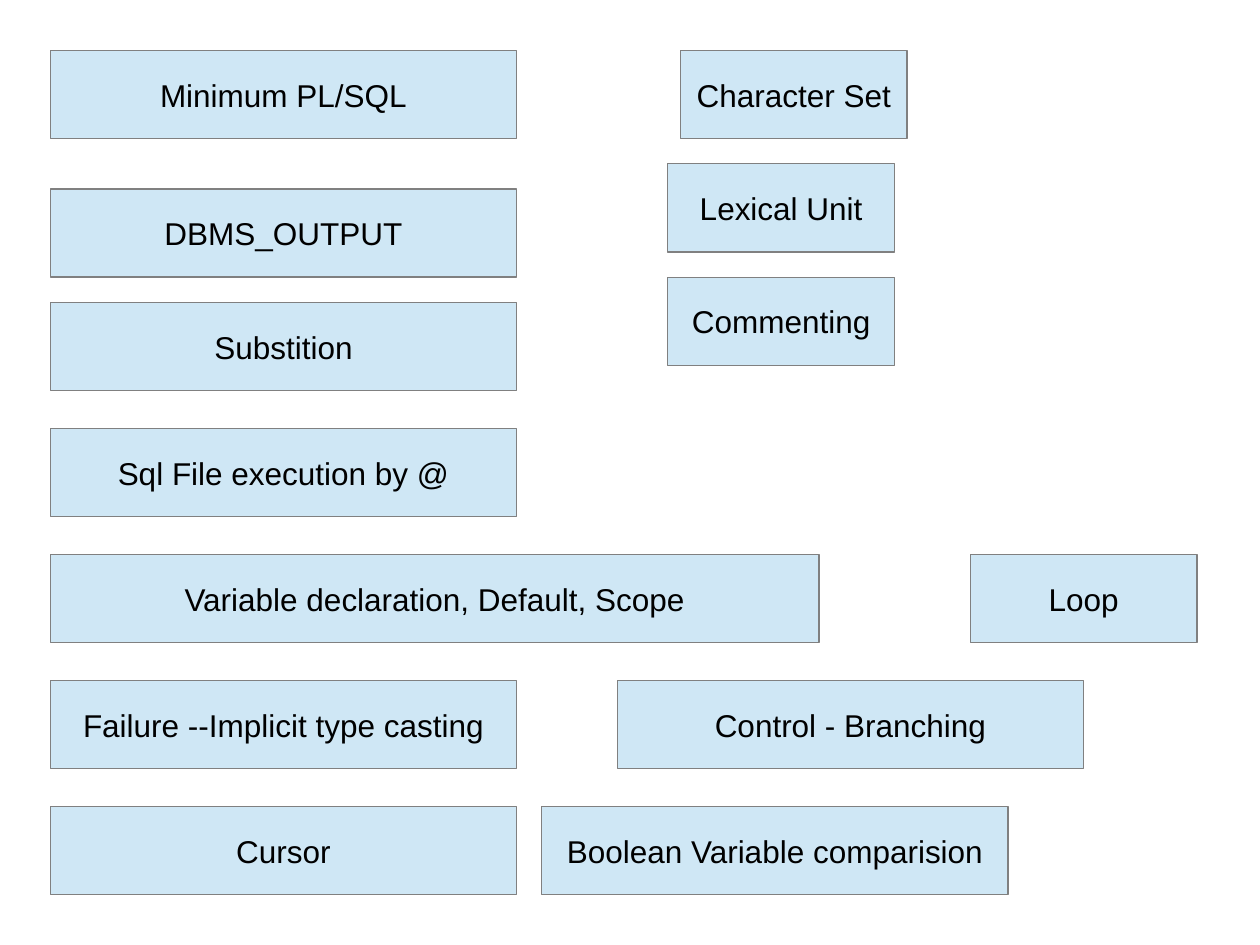
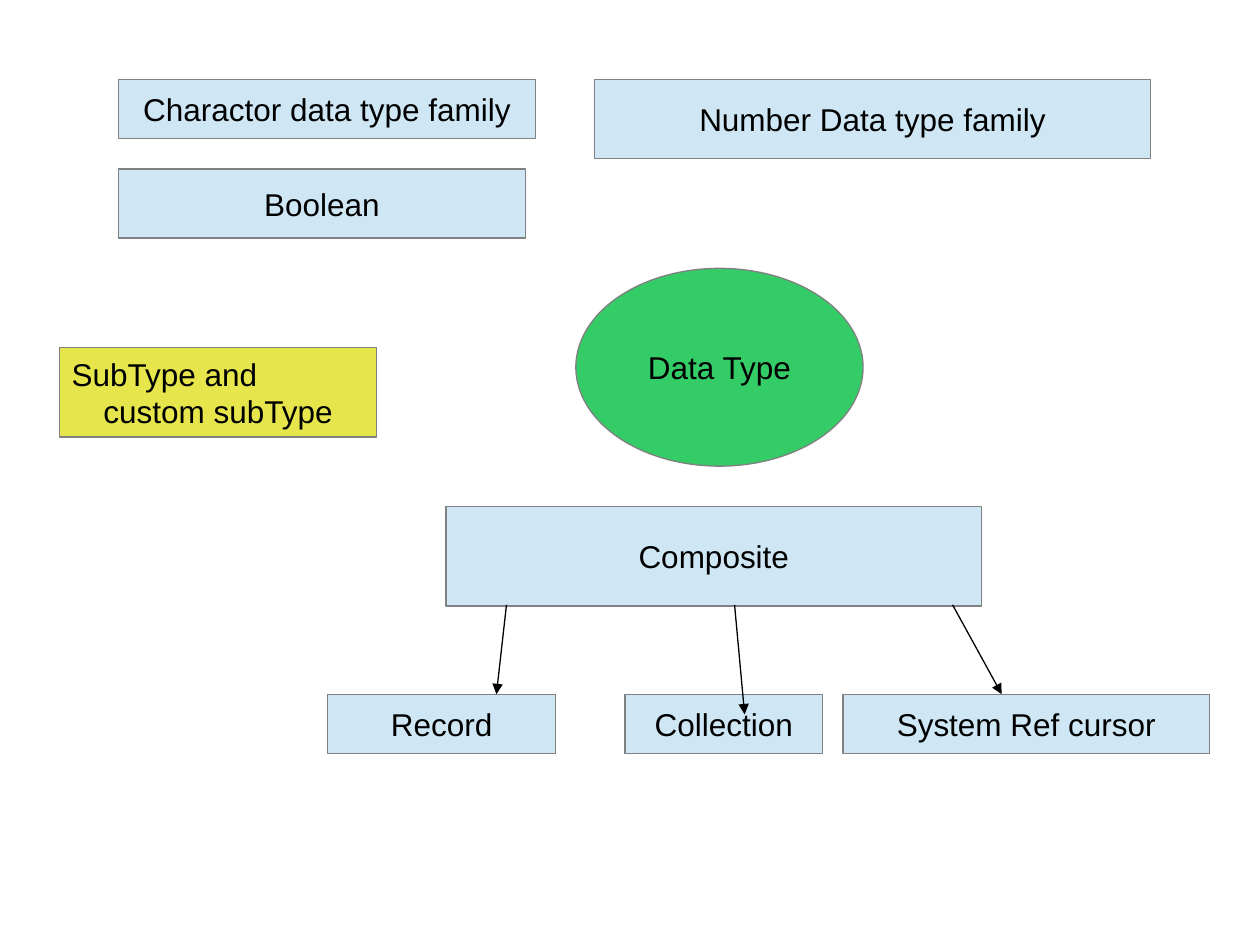
from dataclasses import dataclass

from lxml.etree import SubElement
from pptx import Presentation
from pptx.dml.color import RGBColor
from pptx.enum.shapes import MSO_CONNECTOR as Connector, MSO_SHAPE as Preset
from pptx.enum.text import MSO_ANCHOR as Anchor, PP_ALIGN as Align
from pptx.oxml.ns import qn
from pptx.util import Emu, Pt

EMU_PER_PX = 9144


@dataclass(frozen=True)
class Theme:
    font: str = "Arial"
    text_size: int = 18
    line_width: float = 0.75
    text: str = "000000"
    outline: str = "808080"
    topic: str = "CFE7F5"
    hub: str = "33CC66"
    note: str = "E6E64C"


THEME = Theme()


def px(length):
    return Emu(length * EMU_PER_PX)


def color(value):
    return RGBColor.from_string(value)


def add_box(slide, box, lines, fill=THEME.topic, preset=Preset.RECTANGLE):
    shape = slide.shapes.add_shape(preset, *map(px, box))
    shape.shadow.inherit = False
    shape.fill.solid()
    shape.fill.fore_color.rgb = color(fill)
    shape.line.color.rgb = color(THEME.outline)
    shape.line.width = Pt(THEME.line_width)
    frame = shape.text_frame
    frame.word_wrap = False
    frame.vertical_anchor = Anchor.MIDDLE
    for index, (text, alignment) in enumerate(lines):
        paragraph = frame.add_paragraph() if index else frame.paragraphs[0]
        paragraph.text = text
        paragraph.alignment = alignment
        paragraph.font.name = THEME.font
        paragraph.font.size = Pt(THEME.text_size)
        paragraph.font.color.rgb = color(THEME.text)
    return shape


def add_topic(slide, box, text, **style):
    return add_box(slide, box, [(text, Align.CENTER)], **style)


def add_arrow(slide, start, end):
    arrow = slide.shapes.add_connector(
        Connector.STRAIGHT, *map(px, (*start, *end)))
    arrow.line.color.rgb = color(THEME.text)
    arrow.line.width = Pt(THEME.line_width)
    SubElement(arrow.line._get_or_add_ln(), qn("a:tailEnd"), type="triangle")
    SubElement(arrow._element.spPr, qn("a:effectLst"))


def add_topics(slide, box, topics):
    left, top, width, height = box
    for x, y, text, *own_width in topics:
        topic_width = own_width[0] if own_width else width
        add_topic(slide, (left + x, top + y, topic_width, height), text)


def add_basics(slide, box):
    add_topics(slide, box, [
        (0, 0, "Minimum PL/SQL"),
        (0, 110, "DBMS_OUTPUT"),
        (0, 200, "Substition"),
        (0, 300, "Sql File execution by @"),
        (0, 400, "Variable declaration, Default, Scope", 610),
        (0, 500, "Failure --Implicit type casting"),
        (0, 600, "Cursor"),
    ])


def add_lexical_elements(slide, box):
    add_topics(slide, box, [
        (10, 0, "Character Set"),
        (0, 90, "Lexical Unit"),
        (0, 180, "Commenting"),
    ])


def add_control_flow(slide, box):
    add_topics(slide, box, [
        (340, 0, "Loop", 180),
        (60, 100, "Control - Branching"),
        (0, 200, "Boolean Variable comparision"),
    ])


def add_scalar_types(slide, left, top):
    for x, y, width, height, text in [
        (0, 0, 331, 47, "Charactor data type family"),
        (378, 0, 441, 63, "Number Data type family"),
        (0, 71, 323, 55, "Boolean"),
    ]:
        add_topic(slide, (left + x, top + y, width, height), text)


def add_composite_types(slide, box):
    left, top, width, height = box
    add_topic(slide, box, "Composite")
    child_top = top + 149
    for x, child_width, text in [
        (-94, 181, "Record"),
        (142, 157, "Collection"),
        (315, 291, "System Ref cursor"),
    ]:
        add_topic(slide, (left + x, child_top, child_width, 47), text)
    for start_x, end_x, overlap in [(48, 40, 0), (229, 237, 16), (402, 441, 0)]:
        add_arrow(slide, (left + start_x, top + height - 1),
                  (left + end_x, child_top + overlap))


def build_language_slide(slide):
    add_basics(slide, (40, 40, 370, 70))
    add_lexical_elements(slide, (530, 40, 180, 70))
    add_control_flow(slide, (430, 440, 370, 70))


def build_data_type_slide(slide):
    add_scalar_types(slide, 94, 63)
    add_composite_types(slide, (354, 402, 425, 79))
    add_topic(slide, (457, 213, 228, 157), "Data Type",
              fill=THEME.hub, preset=Preset.OVAL)
    add_box(slide, (47, 276, 252, 71),
            [("SubType and", Align.LEFT), ("custom subType", Align.CENTER)],
            fill=THEME.note)


def main():
    presentation = Presentation()
    presentation.slide_width = px(1000)
    presentation.slide_height = px(750)
    blank = presentation.slide_layouts[6]
    for build in (build_language_slide, build_data_type_slide):
        build(presentation.slides.add_slide(blank))
    presentation.save("out.pptx")


if __name__ == "__main__":
    main()
